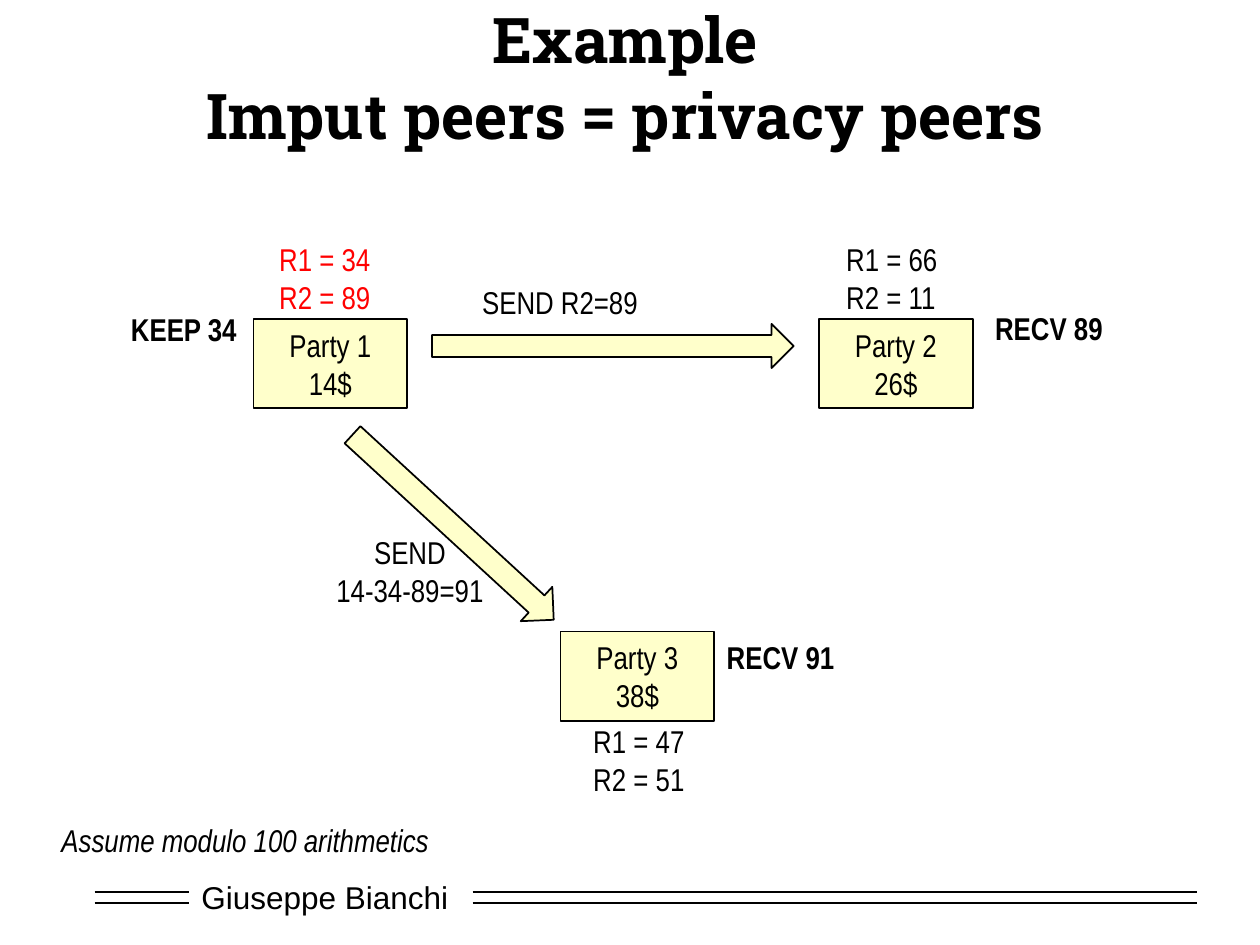
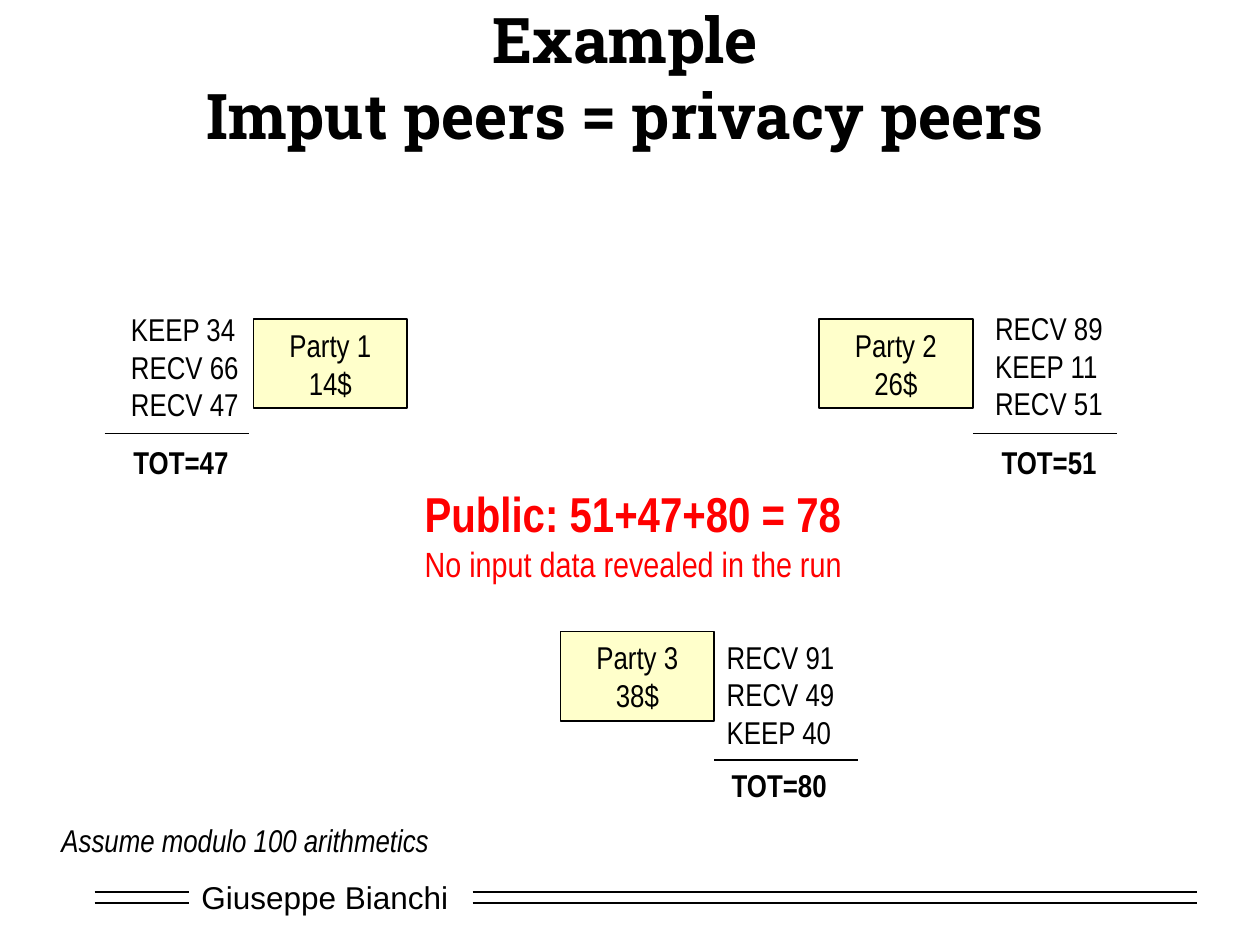
from lxml.etree import SubElement
from pptx import Presentation
from pptx.dml.color import RGBColor
from pptx.enum.shapes import MSO_CONNECTOR as CONN, MSO_SHAPE as SHAPE
from pptx.enum.text import MSO_ANCHOR as ANCHOR, MSO_AUTO_SIZE as AUTO, PP_ALIGN as ALIGN
from pptx.oxml.ns import qn
from pptx.util import Cm, Pt

COLORS = {"black": "000000", "white": "FFFFFF", "red": "FF0000", "yellow": "FFFF99"}
BODY = "Arial Narrow"

# name, amount, box left and top, tally left and top, total left and top,
# rule left and y, tally entries, total
PARTIES = [
    ("Party 1", "14$", (5.11, 6.43), (2.39, 6.12), (2.44, 8.81), (2.11, 8.74),
     ["KEEP 34", "RECV 66", "RECV 47"], "TOT=47"),
    ("Party 2", "26$", (16.51, 6.43), (19.81, 6.1), (19.94, 8.81), (19.61, 8.74),
     ["RECV 89", "KEEP 11", "RECV 51"], "TOT=51"),
    ("Party 3", "38$", (11.3, 12.73), (14.4, 12.73), (14.5, 15.32), (14.4, 15.32),
     ["RECV 91", "RECV 49", "KEEP 40"], "TOT=80"),
]


def write(sp, lines, size=18, font=BODY, color="black", bold=False, italic=False,
          align=ALIGN.LEFT):
    tf = sp.text_frame
    tf.text = "\n".join(lines)
    for p in tf.paragraphs:
        p.alignment = align
        for r in p.runs:
            r.font.size, r.font.name = Pt(size), font
            r.font.bold, r.font.italic = bold, italic
            r.font.color.rgb = RGBColor.from_string(COLORS[color])


def draw_rule(s, left, right, y):
    line = s.shapes.add_connector(CONN.STRAIGHT, Cm(left), Cm(y), Cm(right), Cm(y))
    line.line.color.rgb = RGBColor.from_string(COLORS["black"])
    line.line.width = Pt(1)
    SubElement(line._element.spPr, qn("a:effectLst"))


prs = Presentation()
prs.slide_width, prs.slide_height = Cm(25.4), Cm(19.05)

for step in ("send", "total"):
    s = prs.slides.add_slide(prs.slide_layouts[6])

    # Footer
    sp = s.shapes.add_shape(SHAPE.RECTANGLE, Cm(3.81), Cm(17.58), Cm(5.51), Cm(1.02))
    sp.shadow.inherit = False
    sp.fill.solid()
    sp.fill.fore_color.rgb = RGBColor.from_string(COLORS["white"])
    sp.line.fill.background()
    write(sp, ["Giuseppe Bianchi"], font="Arial")
    for y in (17.98, 18.21):
        draw_rule(s, 1.91, 3.81, y)
        draw_rule(s, 9.53, 24.13, y)

    # Title
    sp = s.shapes.add_textbox(Cm(1.91), Cm(0.64), Cm(21.39), Cm(1.8))
    sp.text_frame.word_wrap = True
    sp.text_frame.vertical_anchor = ANCHOR.MIDDLE
    write(sp, ["Example\vImput peers = privacy peers"], 36, "Roboto Slab", bold=True,
          align=ALIGN.CENTER)

    # Party boxes, and the arrows of the sending step
    blocks = [(SHAPE.RECTANGLE, *box, 3.1, 1.8, 0, [name, amount])
              for name, amount, box, *_ in PARTIES]
    if step == "send":
        blocks += [(SHAPE.RIGHT_ARROW, 8.71, 6.53, 7.29, 0.89, 0, []),
                   (SHAPE.RIGHT_ARROW, 6.38, 10.16, 5.51, 0.94, 42.6, [])]
    for kind, x, y, w, h, angle, lines in blocks:
        sp = s.shapes.add_shape(kind, Cm(x), Cm(y), Cm(w), Cm(h))
        sp.shadow.inherit = False
        sp.rotation = angle
        sp.fill.solid()
        sp.fill.fore_color.rgb = RGBColor.from_string(COLORS["yellow"])
        fill_color = sp._element.spPr.find(".//" + qn("a:srgbClr"))
        SubElement(fill_color, qn("a:alpha"), val="50000")
        sp.line.color.rgb = RGBColor.from_string(COLORS["black"])
        sp.line.width = Pt(1)
        if lines:
            write(sp, lines, align=ALIGN.CENTER)

    # Labels: left, top, width, lines, text style
    labels = [(0.99, 16.43, 8, ["Assume modulo 100 arithmetics"], {"italic": True})]
    if step == "send":
        labels += [
            (5.38, 4.72, 2.39, ["R1 = 34", "R2 = 89"], {"color": "red"}),
            (16.81, 4.72, 2.36, ["R1 = 66", "R2 = 11"], {}),
            (11.71, 14.43, 2.39, ["R1 = 47", "R2 = 51"], {}),
            (9.47, 5.59, 3.84, ["SEND R2=89"], {}),
            (6.5, 10.62, 3.53, ["SEND", "14-34-89=91"], {"align": ALIGN.CENTER}),
        ]
    for _, _, _, tally, total, rule, entries, result in PARTIES:
        if step == "send":
            labels.append((*tally, 2.7, entries[:1], {"bold": True}))
        else:
            labels.append((*tally, 2.72, entries, {}))
            labels.append((*total, 2.46, [result], {"bold": True}))
            draw_rule(s, rule[0], rule[0] + 2.9, rule[1])
    for x, y, w, lines, style in labels:
        sp = s.shapes.add_textbox(Cm(x), Cm(y), Cm(w), Cm(0.25 + 0.77 * len(lines)))
        sp.text_frame.word_wrap = False
        sp.text_frame.auto_size = AUTO.SHAPE_TO_FIT_TEXT
        write(sp, lines, **style)

    # Public result
    if step == "total":
        sp = s.shapes.add_textbox(Cm(8.31), Cm(9.63), Cm(8.99), Cm(2.31))
        sp.text_frame.word_wrap = False
        sp.text_frame.auto_size = AUTO.SHAPE_TO_FIT_TEXT
        write(sp, ["Public: 51+47+80 = 78", "No input data revealed in the run"], 28,
              color="red", bold=True)
        r = sp.text_frame.paragraphs[1].runs[0]
        r.font.size, r.font.bold = Pt(20), False

prs.save("out.pptx")
